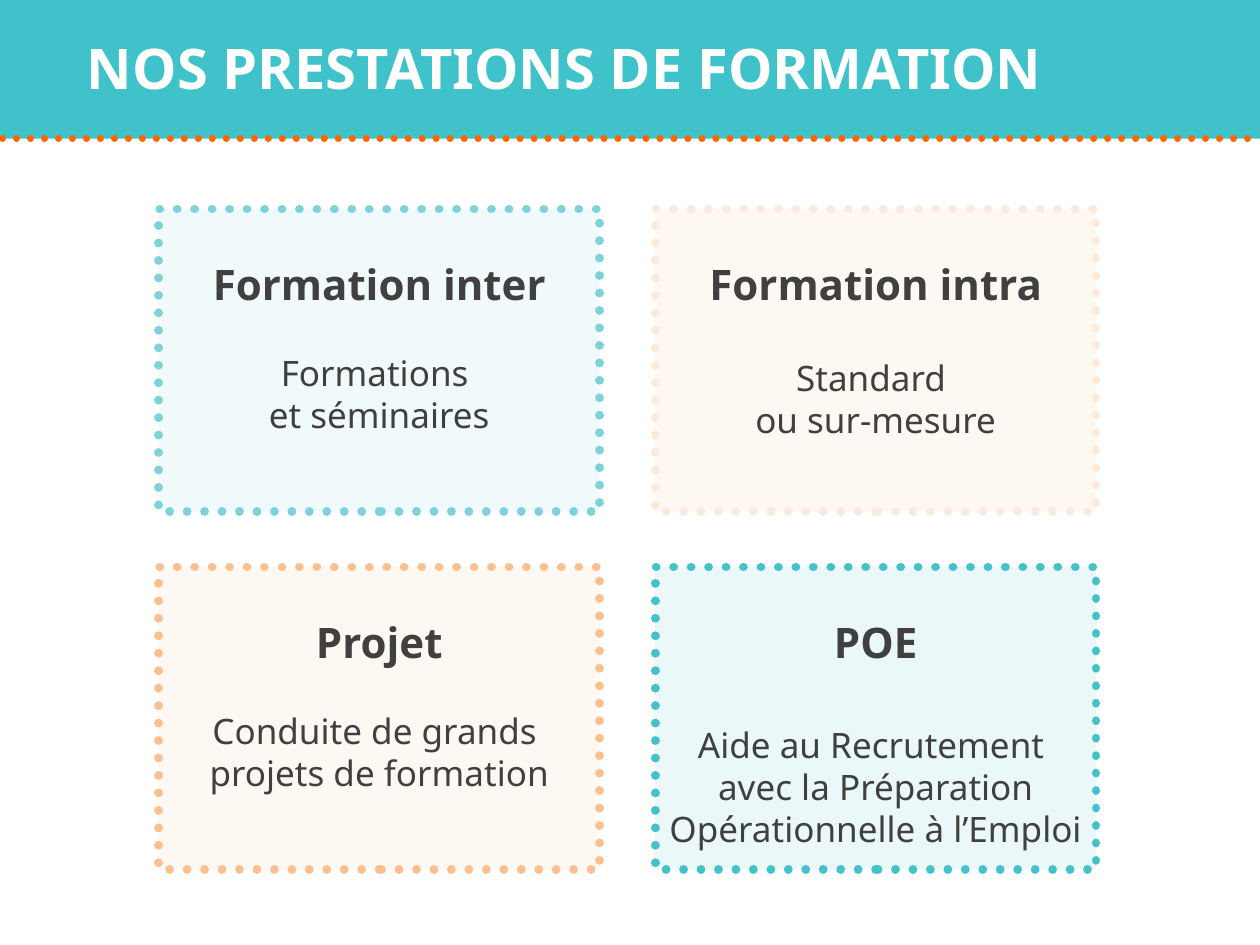
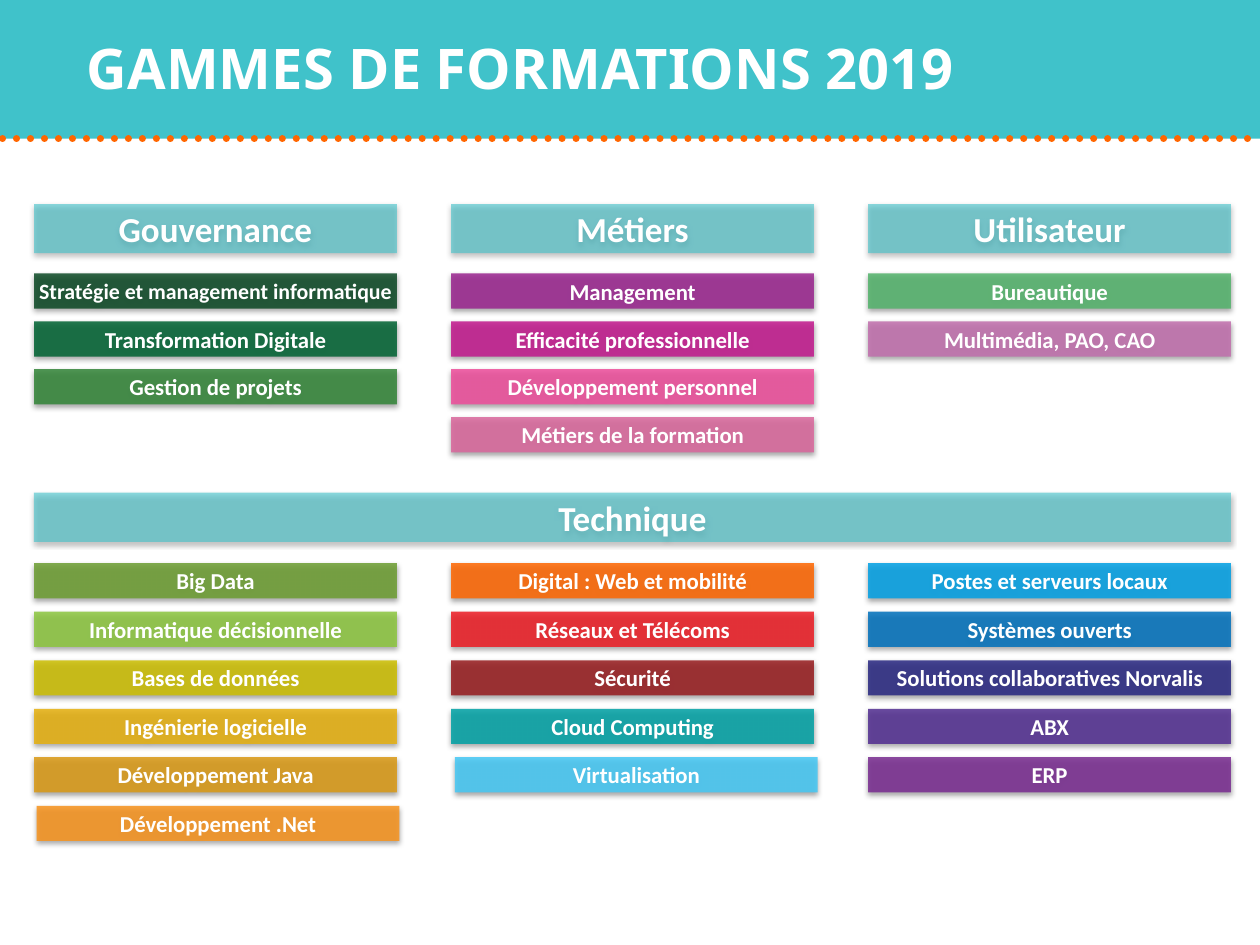
"""Build two slides on training services and training ranges."""
from dataclasses import dataclass

from lxml.etree import SubElement
from pptx import Presentation
from pptx.dml.color import RGBColor
from pptx.enum.dml import MSO_LINE
from pptx.enum.shapes import MSO_CONNECTOR, MSO_SHAPE
from pptx.enum.text import MSO_ANCHOR, PP_ALIGN
from pptx.oxml.ns import qn
from pptx.util import Inches, Pt

TURQUOISE = RGBColor(0x40, 0xC2, 0xCA)
ORANGE = RGBColor(0xFF, 0x66, 0x00)
WHITE = RGBColor(0xFF, 0xFF, 0xFF)
CHARCOAL = RGBColor(0x40, 0x40, 0x40)
PALE_TURQUOISE = RGBColor(0x7C, 0xD3, 0xDA)
DEEP_TURQUOISE = RGBColor(0x44, 0xC2, 0xCA)
PEACH = RGBColor(0xFD, 0xEA, 0xDA)
APRICOT = RGBColor(0xFA, 0xC0, 0x90)
TITLE_FONT = "Noto Sans"
BAR_FONT = "Calibri"


@dataclass(frozen=True)
class Box:
    """A rectangle in inches."""

    left: float
    top: float
    width: float
    height: float

    def lengths(self) -> list:
        """Return the four sides as slide lengths."""
        return [Inches(side) for side in (self.left, self.top, self.width, self.height)]


@dataclass(frozen=True)
class Grid:
    """Equal cells set out at a regular pitch."""

    left: float
    top: float
    column_pitch: float
    row_pitch: float
    width: float
    height: float

    def cell(self, column: int, row: int, span: int = 1, shift: float = 0) -> Box:
        """Return the box of a cell that may span several columns."""
        return Box(self.left + column * self.column_pitch + shift,
                   self.top + row * self.row_pitch,
                   self.width + (span - 1) * self.column_pitch, self.height)


@dataclass(frozen=True)
class Card:
    """A dotted card; each paragraph is a tuple of lines."""

    column: int
    row: int
    heading: str
    paragraphs: tuple
    color: RGBColor
    opacity: int
    gap: float
    side_inset: float


@dataclass(frozen=True)
class Bar:
    """A coloured label bar."""

    text: str
    color: str
    size: float = 13
    opacity: int = 85
    shift: float = 0


@dataclass(frozen=True)
class Header:
    """A heading over one or more columns of bars."""

    text: str
    column: int
    row: int
    span: int = 1


BAND = Box(-0.01, -0.01, 10.02, 1.11)
TITLE = Box(0.59, -0.01, 8.11, 1.08)
CARD_GRID = Grid(1.26, 1.66, 3.94, 2.84, 3.5, 2.4)
HEADER_GRID = Grid(0.27, 1.62, 3.31, 2.29, 2.88, 0.39)
UPPER_GRID = Grid(0.27, 2.17, 3.31, 0.38, 2.88, 0.28)
LOWER_GRID = Grid(0.27, 4.47, 3.31, 0.385, 2.88, 0.28)

CARDS = [
    Card(0, 0, "Formation inter", (("Formations ", "et séminaires"),),
         PALE_TURQUOISE, 10, 24.5, 0.1),
    Card(1, 0, "Formation intra", (("Standard ", "ou sur-mesure"),),
         PEACH, 30, 27.2, 0.1),
    Card(0, 1, "Projet", (("Conduite de grands ",), ("projets de formation",)),
         APRICOT, 10, 24.5, 0.04),
    Card(1, 1, "POE", (("Aide au Recrutement ",),
                       ("avec la Préparation Opérationnelle à l’Emploi",)),
         DEEP_TURQUOISE, 10, 32.7, 0.04),
]
HEADERS = [
    Header("Gouvernance", 0, 0),
    Header("Métiers", 1, 0),
    Header("Utilisateur", 2, 0),
    Header("Technique", 0, 1, 3),
]
UPPER_BARS = [
    [Bar("Stratégie et management informatique", "00411B", 12.5, 80),
     Bar("Transformation Digitale", "006333"),
     Bar("Gestion de projets", "338538")],
    [Bar("Management", "9A258F"),
     Bar("Efficacité professionnelle", "C2188D"),
     Bar("Développement personnel", "EE4D9B"),
     Bar("Métiers de la formation", "DA679C")],
    [Bar("Bureautique", "53B36B"),
     Bar("Multimédia, PAO, CAO", "C16FAD")],
]
LOWER_BARS = [
    [Bar("Big Data", "6C9D31"),
     Bar("Informatique décisionnelle", "8CC63F"),
     Bar("Bases de données", "CCBE00"),
     Bar("Ingénierie logicielle", "E6B00E"),
     Bar("Développement Java", "DA9914"),
     Bar("Développement .Net", "F7931D", shift=0.02)],
    [Bar("Digital : Web et mobilité", "FF6600"),
     Bar("Réseaux et Télécoms", "ED1C24"),
     Bar("Sécurité", "971B1E"),
     Bar("Cloud Computing", "00A2A5"),
     Bar("Virtualisation", "44C8F5", shift=0.03)],
    [Bar("Postes et serveurs locaux", "00A0E4"),
     Bar("Systèmes ouverts", "0071BC"),
     Bar("Solutions collaboratives Norvalis", "282781"),
     Bar("ABX", "522E91"),
     Bar("ERP", "782B90")],
]


def add_run(paragraph, text: str, font: str, size: float, color: RGBColor, bold: bool) -> None:
    """Append one formatted run."""
    run = paragraph.add_run()
    run.text = text
    run.font.name = font
    run.font.size = Pt(size)
    run.font.bold = bold
    run.font.color.rgb = color


def add_rectangle(slide, box: Box, color: RGBColor, opacity: int = 100):
    """Add a rectangle with a flat fill, no outline and no shadow."""
    shape = slide.shapes.add_shape(MSO_SHAPE.RECTANGLE, *box.lengths())
    shape.fill.solid()
    shape.fill.fore_color.rgb = color
    fill_color = shape.element.spPr.find(f"{qn('a:solidFill')}/{qn('a:srgbClr')}")
    if opacity < 100:
        SubElement(fill_color, qn("a:alpha"), val=str(opacity * 1000))
    shape.line.fill.background()
    shape.shadow.inherit = False
    return shape


def set_dotted_line(shape, color: RGBColor, width: float) -> None:
    """Give the line of a shape or connector round dots."""
    shape.line.color.rgb = color
    shape.line.width = Pt(width)
    shape.line.dash_style = MSO_LINE.ROUND_DOT
    shape.element.spPr.find(qn("a:ln")).set("cap", "rnd")


def add_soft_shadow(shape) -> None:
    """Cast a short soft shadow straight down."""
    effects = shape.element.spPr.find(qn("a:effectLst"))
    shadow = SubElement(effects, qn("a:outerShdw"), blurRad=str(Pt(3)),
                        dist=str(Pt(1.6)), dir="5400000", rotWithShape="0")
    color = SubElement(shadow, qn("a:srgbClr"), val="000000")
    SubElement(color, qn("a:alpha"), val="40000")


def add_label(slide, box: Box, text: str, size: float, color: RGBColor, opacity: int) -> None:
    """Add a shadowed bar with a centred label."""
    shape = add_rectangle(slide, box, color, opacity)
    add_soft_shadow(shape)
    frame = shape.text_frame
    frame.word_wrap = True
    frame.vertical_anchor = MSO_ANCHOR.MIDDLE
    frame.margin_left = frame.margin_right = frame.margin_top = frame.margin_bottom = 0
    paragraph = frame.paragraphs[0]
    paragraph.alignment = PP_ALIGN.CENTER
    add_run(paragraph, text, BAR_FONT, size, WHITE, True)


def add_bars(slide, grid: Grid, columns: list) -> None:
    """Fill a grid with columns of bars."""
    for column, bars in enumerate(columns):
        for row, bar in enumerate(bars):
            add_label(slide, grid.cell(column, row, shift=bar.shift), bar.text, bar.size,
                      RGBColor.from_string(bar.color), bar.opacity)


def add_card(slide, card: Card) -> None:
    """Add a dotted card with its heading and description."""
    shape = add_rectangle(slide, CARD_GRID.cell(card.column, card.row), card.color, card.opacity)
    set_dotted_line(shape, card.color, 5)
    frame = shape.text_frame
    frame.word_wrap = True
    frame.vertical_anchor = MSO_ANCHOR.TOP
    frame.margin_left = frame.margin_right = Inches(card.side_inset)
    frame.margin_top, frame.margin_bottom = Inches(0.39), Inches(0.1)
    heading = frame.paragraphs[0]
    heading.alignment = PP_ALIGN.CENTER
    add_run(heading, card.heading, TITLE_FONT, 24, CHARCOAL, True)
    for index, lines in enumerate(card.paragraphs):
        paragraph = frame.add_paragraph()
        paragraph.alignment = PP_ALIGN.CENTER
        paragraph.space_before = Pt(0 if index else card.gap)
        for position, line in enumerate(lines):
            if position:
                paragraph.add_line_break()
            add_run(paragraph, line, TITLE_FONT, 20, CHARCOAL, False)


def move_band_to_layout(slide, layout) -> None:
    """Draw the title band with its dotted rule and hand both to the layout."""
    band = add_rectangle(slide, BAND, TURQUOISE)
    rule = slide.shapes.add_connector(MSO_CONNECTOR.STRAIGHT, Inches(0.02), Inches(1.1),
                                      Inches(10.01), Inches(1.1))
    set_dotted_line(rule, ORANGE, 4)
    SubElement(rule.element.spPr, qn("a:effectLst"))
    for index, shape in enumerate((band, rule), start=2):
        layout.shapes.element.insert(index, shape.element)


def add_titled_slide(presentation, layout, title: str):
    """Add a slide and format its title placeholder."""
    slide = presentation.slides.add_slide(layout)
    placeholder = slide.shapes.title
    placeholder.left, placeholder.top, placeholder.width, placeholder.height = TITLE.lengths()
    placeholder.text_frame.vertical_anchor = MSO_ANCHOR.MIDDLE
    paragraph = placeholder.text_frame.paragraphs[0]
    paragraph.alignment = PP_ALIGN.LEFT
    add_run(paragraph, title, TITLE_FONT, 32, WHITE, True)
    return slide


def main() -> None:
    """Build and save the presentation."""
    presentation = Presentation()
    presentation.slide_width, presentation.slide_height = Inches(10), Inches(7.5)
    layout = presentation.slide_layouts.get_by_name("Title Only")

    services = add_titled_slide(presentation, layout, "NOS PRESTATIONS DE FORMATION")
    move_band_to_layout(services, layout)
    for card in CARDS:
        add_card(services, card)

    ranges = add_titled_slide(presentation, layout, "GAMMES DE FORMATIONS 2019")
    for header in HEADERS:
        add_label(ranges, HEADER_GRID.cell(header.column, header.row, header.span),
                  header.text, 20, TURQUOISE, 60)
    add_bars(ranges, UPPER_GRID, UPPER_BARS)
    add_bars(ranges, LOWER_GRID, LOWER_BARS)

    presentation.save("out.pptx")


main()
